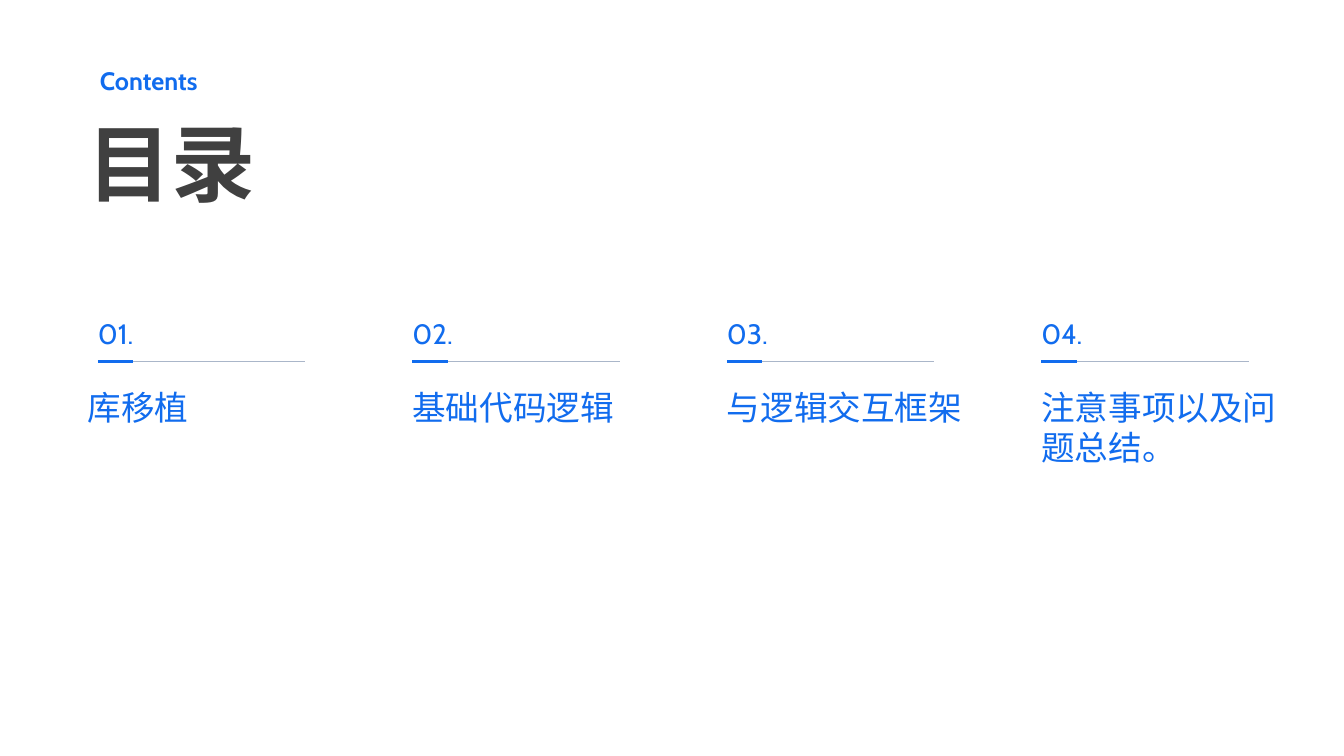
from dataclasses import dataclass

from lxml import etree
from pptx import Presentation
from pptx import util as u
from pptx.dml.color import RGBColor
from pptx.enum import shapes, text
from pptx.oxml import ns


@dataclass(frozen=True)
class Theme:
    font: str = "Cabin"
    blue: str = "116CEE"
    dark: str = "404040"
    gray: str = "AAB6C9"
    label: float = 18
    title: float = 60
    number: float = 20
    topic: float = 24
    thin: float = 0.75
    thick: float = 2.25


@dataclass(frozen=True)
class Box:
    """Place and size as percentages of the slide."""
    left: float
    top: float
    width: float
    height: float


@dataclass(frozen=True)
class Topic:
    name: str
    shift: float = 0


THEME = Theme()
WIDE, HIGH = u.Inches(13.333), u.Inches(7.5)
LEFT, EDGE, PITCH = 7.28, 6.53, 23.4
RULE = 47.87
TOPICS = [
    Topic("库移植", EDGE - LEFT),
    Topic("基础代码逻辑"),
    Topic("与逻辑交互框架"),
    Topic("注意事项以及问题总结。"),
]


def across(share: float) -> int:
    return round(WIDE * share / 100)


def down(share: float) -> int:
    return round(HIGH * share / 100)


def write(slide, words: str, box: Box, *, size: float, color: str = THEME.blue,
          bold: bool = False, low: bool = True, inset: float = 0) -> None:
    area = slide.shapes.add_textbox(across(box.left), down(box.top),
                                    across(box.width), down(box.height))
    frame = area.text_frame
    frame.word_wrap = True
    frame.margin_left = across(inset)
    frame.margin_top = frame.margin_right = frame.margin_bottom = 0
    frame.vertical_anchor = text.MSO_ANCHOR.BOTTOM if low else text.MSO_ANCHOR.TOP
    run = frame.paragraphs[0].add_run()
    run.text = words
    run.font.name = THEME.font
    run.font.size = u.Pt(size)
    run.font.bold = bold
    run.font.color.rgb = RGBColor.from_string(color)


def rule(slide, left: float, width: float, color: str, weight: float) -> None:
    line = slide.shapes.add_connector(
        shapes.MSO_CONNECTOR.STRAIGHT, across(left), down(RULE),
        across(left + width), down(RULE))
    line.line.color.rgb = RGBColor.from_string(color)
    line.line.width = u.Pt(weight)
    etree.SubElement(line._element.spPr, ns.qn("a:effectLst"))


def column(slide, index: int, topic: Topic) -> None:
    left = LEFT + index * PITCH
    rule(slide, left, 15.45, THEME.gray, THEME.thin)
    rule(slide, left, 2.65, THEME.blue, THEME.thick)
    write(slide, f"{index + 1:02}.", Box(left, 39.2, 7.5, 7.07), size=THEME.number)
    write(slide, topic.name, Box(left + topic.shift, 51.2, 19.35, 27.2),
          size=THEME.topic, low=False)


def main() -> None:
    deck = Presentation()
    deck.slide_width, deck.slide_height = WIDE, HIGH
    slide = deck.slides.add_slide(deck.slide_layouts[6])

    # Heading
    write(slide, "Contents", Box(EDGE, 7.6, 15.3, 5.07),
          size=THEME.label, bold=True, inset=0.9)
    write(slide, "目录", Box(EDGE, 12.67, 15.3, 15.47),
          size=THEME.title, color=THEME.dark, bold=True)

    # Numbered topics
    for index, topic in enumerate(TOPICS):
        column(slide, index, topic)

    deck.save("out.pptx")


if __name__ == "__main__":
    main()
